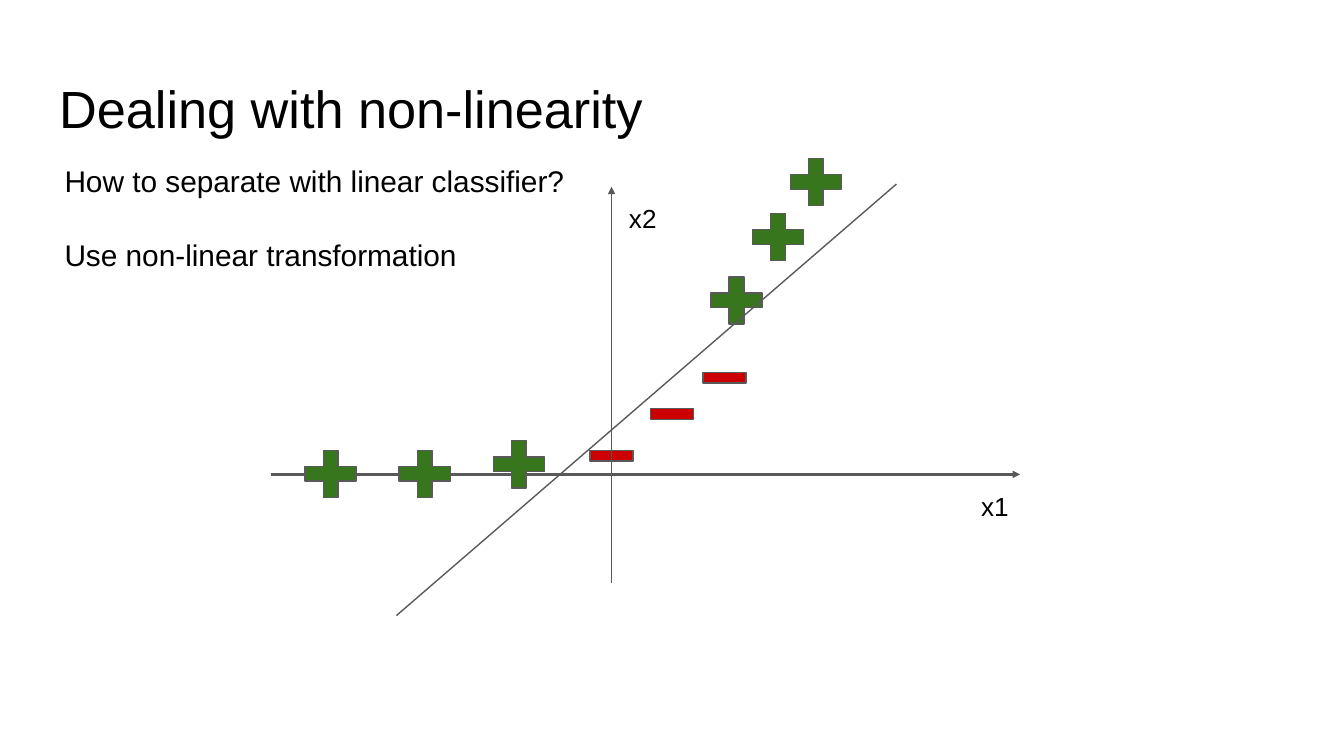
from lxml import etree
from pptx import Presentation
from pptx.dml.color import RGBColor
from pptx.enum.shapes import MSO_CONNECTOR, MSO_SHAPE
from pptx.enum.text import MSO_ANCHOR, MSO_AUTO_SIZE, PP_ALIGN
from pptx.oxml.ns import qn
from pptx.util import Inches, Pt

STRAIGHT = MSO_CONNECTOR.STRAIGHT
RECTANGLE = MSO_SHAPE.RECTANGLE
TOP = MSO_ANCHOR.TOP
NO_FIT = MSO_AUTO_SIZE.NONE
LEFT = PP_ALIGN.LEFT

FONT = "Arial"
COLORS = {"text": "000000", "line": "595959", "plus": "37761C", "minus": "CC0000"}
SLIDE_WIDTH = 10
PLUS_WIDTH, PLUS_HEIGHT, PLUS_ARM = 0.38, 0.35, 0.11
MINUS_WIDTH, MINUS_HEIGHT = 0.32, 0.08
PLUSES = [(2.27, 3.35), (2.97, 3.35), (3.67, 3.28), (5.29, 2.06), (5.6, 1.59), (5.88, 1.18)]
MINUSES = [(4.39, 3.35), (4.84, 3.04), (5.23, 2.77)]


def color(name):
    """Return the named colour."""
    return RGBColor.from_string(COLORS[name])


def place(box, left, top, width, height, inset):
    """Position a text shape and set its margins."""
    box.left, box.top = Inches(left), Inches(top)
    box.width, box.height = Inches(width), Inches(height)
    frame = box.text_frame
    frame.word_wrap = True
    frame.auto_size = NO_FIT
    frame.vertical_anchor = TOP
    frame.margin_left = frame.margin_right = frame.margin_bottom = 0
    frame.margin_top = Inches(inset)


def format_para(para, size, indent=0.02, before=0):
    """Format a plain left-aligned paragraph."""
    para.alignment = LEFT
    para.line_spacing = 1.0
    para.space_before = Pt(before)
    properties = para._p.get_or_add_pPr()
    properties.set("marL", str(Inches(indent)))
    properties.set("indent", "0")
    etree.SubElement(properties, qn("a:buNone"))
    for span in para.runs:
        span.font.name = FONT
        span.font.size = Pt(size)
        span.font.color.rgb = color("text")


def paint(shape, fill):
    """Give a marker its fill and outline."""
    shape.shadow.inherit = False
    shape.fill.solid()
    shape.fill.fore_color.rgb = color(fill)
    shape.line.color.rgb = color("line")
    shape.line.width = Pt(0.75)


def add_plus(page, left, top):
    """Draw a plus marker."""
    side = (PLUS_WIDTH - PLUS_ARM) / 2
    rise = (PLUS_HEIGHT - PLUS_ARM) / 2
    x0, x1, x2, x3 = [left + step for step in (0, side, side + PLUS_ARM, PLUS_WIDTH)]
    y0, y1, y2, y3 = [top + step for step in (0, rise, rise + PLUS_ARM, PLUS_HEIGHT)]
    corners = [(x0, y1), (x1, y1), (x1, y0), (x2, y0), (x2, y1), (x3, y1),
               (x3, y2), (x2, y2), (x2, y3), (x1, y3), (x1, y2), (x0, y2)]
    points = [(Inches(x), Inches(y)) for x, y in corners]
    builder = page.shapes.build_freeform(*points[0])
    builder.add_line_segments(points[1:], close=True)
    paint(builder.convert_to_shape(), "plus")


def add_minus(page, left, top):
    """Draw a minus marker."""
    box = page.shapes.add_shape(RECTANGLE, Inches(left), Inches(top),
                                Inches(MINUS_WIDTH), Inches(MINUS_HEIGHT))
    paint(box, "minus")


def add_line(page, start, end, width=0.75, arrow=False):
    """Draw a straight line, optionally with an arrowhead at its end."""
    line = page.shapes.add_connector(STRAIGHT, *[Inches(value) for value in start + end])
    line.line.color.rgb = color("line")
    line.line.width = Pt(width)
    if arrow:
        etree.SubElement(line.line._get_or_add_ln(), qn("a:tailEnd"),
                         type="triangle", w="sm", len="sm")
    etree.SubElement(line._element.spPr, qn("a:effectLst"))


def add_texts(page):
    """Fill the title, the body and the horizontal axis label."""
    title, body = page.placeholders
    title.text_frame.text = "Dealing with non-linearity"
    place(title, 0.42, 0.55, 4.37, 0.49, 0.02)
    format_para(title.text_frame.paragraphs[0], 28)

    body.text_frame.text = "How to separate with linear classifier?\nx2\nUse non-linear transformation"
    place(body, 0.46, 1.19, 4.44, 0.86, 0.02)
    question, axis_label, answer = body.text_frame.paragraphs
    format_para(question, 16)
    format_para(axis_label, 14, indent=4.22, before=2)
    format_para(answer, 16, before=1.4)

    label = page.shapes.add_textbox(0, 0, 0, 0)
    label.text_frame.text = "x1"
    place(label, 7.28, 3.64, 0.23, 0.26, 0.01)
    format_para(label.text_frame.paragraphs[0], 14)


def main():
    """Build the slide and save it."""
    deck = Presentation()
    deck.slide_width = Inches(SLIDE_WIDTH)
    deck.slide_height = Inches(SLIDE_WIDTH * 9 / 16)
    page = deck.slides.add_slide(deck.slide_layouts[1])
    add_texts(page)
    add_line(page, (2.02, 3.53), (7.59, 3.53), width=1.19, arrow=True)
    for left, top in PLUSES:
        add_plus(page, left, top)
    for left, top in MINUSES:
        add_minus(page, left, top)
    add_line(page, (2.95, 4.58), (6.67, 1.37))
    add_line(page, (4.55, 4.34), (4.55, 1.39), arrow=True)
    deck.save("out.pptx")


if __name__ == "__main__":
    main()
